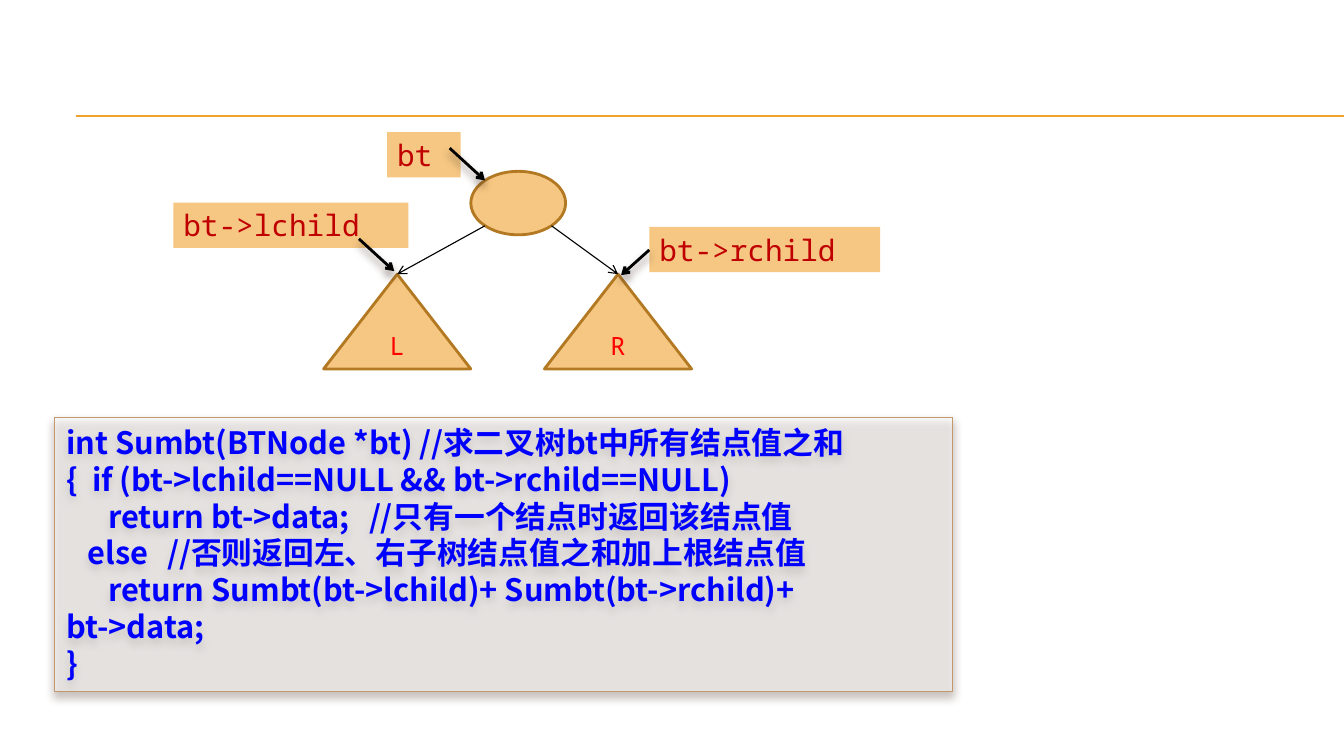
from lxml.etree import SubElement
from pptx import Presentation
from pptx.dml.color import RGBColor
from pptx.enum.shapes import MSO_CONNECTOR as CONN, MSO_SHAPE as SHAPE
from pptx.enum.text import MSO_ANCHOR as ANCHOR, MSO_AUTO_SIZE as AUTO, PP_ALIGN as ALIGN
from pptx.oxml.ns import qn
from pptx.util import Pt

PX = 9144
MONO, CJK = "Noto Sans Mono", "Noto Sans CJK SC"
SAND, BRONZE, GOLD = "F6C782", "B27822", "F0A22E"

NODE_TEXT = {"name": MONO, "size": Pt(18), "color": "FF0000"}
LABEL_TEXT = {"name": MONO, "size": Pt(21), "color": "C00000"}
CODE_TEXT = {"name": CJK, "size": Pt(22), "bold": True, "color": "0000FF"}

CODE = [
    "int Sumbt(BTNode *bt)\t//求二叉树bt中所有结点值之和",
    "{  if (bt->lchild==NULL && bt->rchild==NULL)",
    "      return bt->data;\t//只有一个结点时返回该结点值",
    "   else\t//否则返回左、右子树结点值之和加上根结点值",
    "      return Sumbt(bt->lchild)+ Sumbt(bt->rchild)+",
    "bt->data;",
    "}",
]


def px(*values):
    return [v * PX for v in values]


def rgb(value):
    return RGBColor.from_string(value)


def add_shadow(effects):
    shadow = SubElement(effects, qn("a:outerShdw"), blurRad=str(Pt(6)), dist=str(Pt(4)),
                        dir="5400000", rotWithShape="0")
    color = SubElement(shadow, qn("a:srgbClr"), val="4E3B30")
    SubElement(color, qn("a:alpha"), val="60000")


def add_box(shapes, kind, box, fill, line=None, width=2):
    sp = shapes.add_shape(kind, *px(*box))
    sp.shadow.inherit = False
    sp.fill.solid()
    sp.fill.fore_color.rgb = rgb(fill)
    if line:
        sp.line.color.rgb = rgb(line)
        sp.line.width = Pt(width)
    else:
        sp.line.fill.background()
    return sp


def add_line(shapes, start, end, color, width, arrow=False, shadow=False):
    ln = shapes.add_connector(CONN.STRAIGHT, *px(*start, *end))
    ln.line.color.rgb = rgb(color)
    ln.line.width = Pt(width)
    if arrow:
        SubElement(ln.line._get_or_add_ln(), qn("a:tailEnd"), type="arrow")
    effects = SubElement(ln._element.spPr, qn("a:effectLst"))
    if shadow:
        add_shadow(effects)


def write(sp, lines, style, align=ALIGN.LEFT, spacing=None):
    tf = sp.text_frame
    tf.word_wrap = True
    for i, text in enumerate(lines):
        p = tf.add_paragraph() if i else tf.paragraphs[0]
        p.alignment = align
        p.line_spacing = spacing
        r = p.add_run()
        r.text = text
        for key, value in style.items():
            if key == "color":
                r.font.color.rgb = rgb(value)
            else:
                setattr(r.font, key, value)
        SubElement(r.font._element, qn("a:ea"), typeface=style["name"])
    return tf


def add_rules(shapes, box):
    x, y, w, h = box
    for top in (y, y + h):
        add_line(shapes, (x, top), (x + w, top), GOLD, 0.75)


def add_tree(shapes, box):
    x, y, _, _ = box
    group = shapes.add_group_shape().shapes

    def at(left, top):
        return x + left, y + top

    add_box(group, SHAPE.OVAL, (*at(295, 39), 94, 63), SAND, BRONZE)
    for name, left, edge in (("L", 149, 309), ("R", 368, 375)):
        sp = add_box(group, SHAPE.ISOSCELES_TRIANGLE, (*at(left, 141), 146, 94), SAND, BRONZE)
        write(sp, [name], NODE_TEXT, ALIGN.CENTER).vertical_anchor = ANCHOR.MIDDLE
        add_line(group, at(edge, 93), at(left + 73, 141), "000000", 0.79, arrow=True)

    for text, left, top, width, start, end in (
        ("bt", 212, 0, 73, (274, 16), (309, 48)),
        ("bt->lchild", 0, 70, 233, (184, 106), (219, 138)),
        ("bt->rchild", 472, 94, 229, (472, 117), (444, 142)),
    ):
        sp = add_box(group, SHAPE.RECTANGLE, (*at(left, top), width, 45), SAND)
        tf = write(sp, [text], LABEL_TEXT)
        tf.vertical_anchor = ANCHOR.TOP
        tf.auto_size = AUTO.SHAPE_TO_FIT_TEXT
        add_line(group, at(*start), at(*end), "000000", 2, arrow=True, shadow=True)


def add_code(shapes, box):
    sp = add_box(shapes, SHAPE.RECTANGLE, box, "FFFFFF", "C3986D", 0.79)
    spPr = sp._element.spPr
    SubElement(spPr.find(qn("a:solidFill"))[0], qn("a:alpha"), val="50000")
    add_shadow(spPr.find(qn("a:effectLst")))
    tf = write(sp, CODE, CODE_TEXT, spacing=Pt(26.4))
    tf.vertical_anchor = ANCHOR.TOP
    tf.margin_left, tf.margin_top, tf.margin_right, tf.margin_bottom = px(12, 6, 12, 6)


def main():
    prs = Presentation()
    prs.slide_width, prs.slide_height = px(1333, 750)
    shapes = prs.slides.add_slide(prs.slide_layouts[6]).shapes
    add_rules(shapes, (75, 115, 1258, 1))
    add_tree(shapes, (172, 131, 701, 235))
    add_code(shapes, (54, 414, 891, 272))
    prs.save("out.pptx")


if __name__ == "__main__":
    main()
